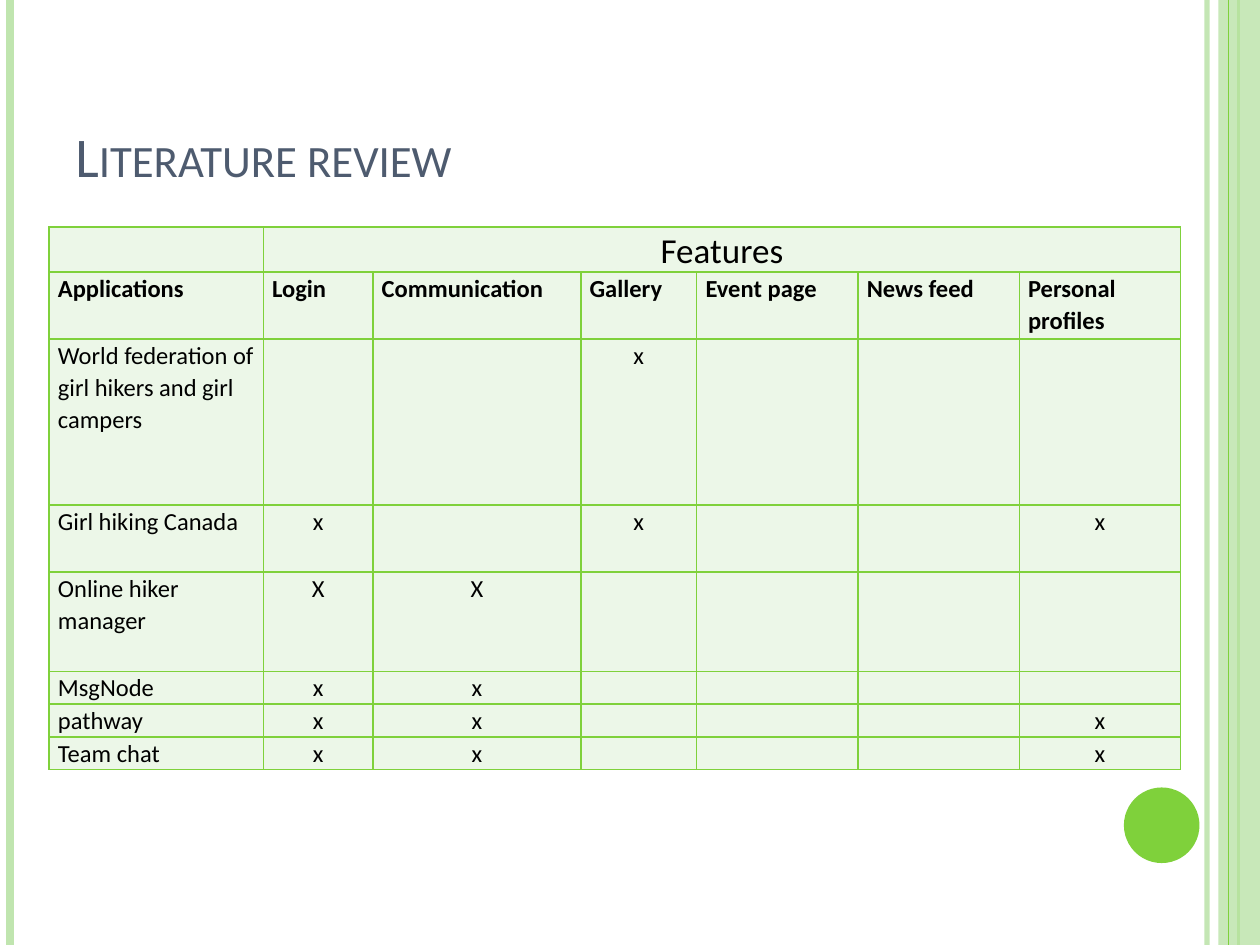
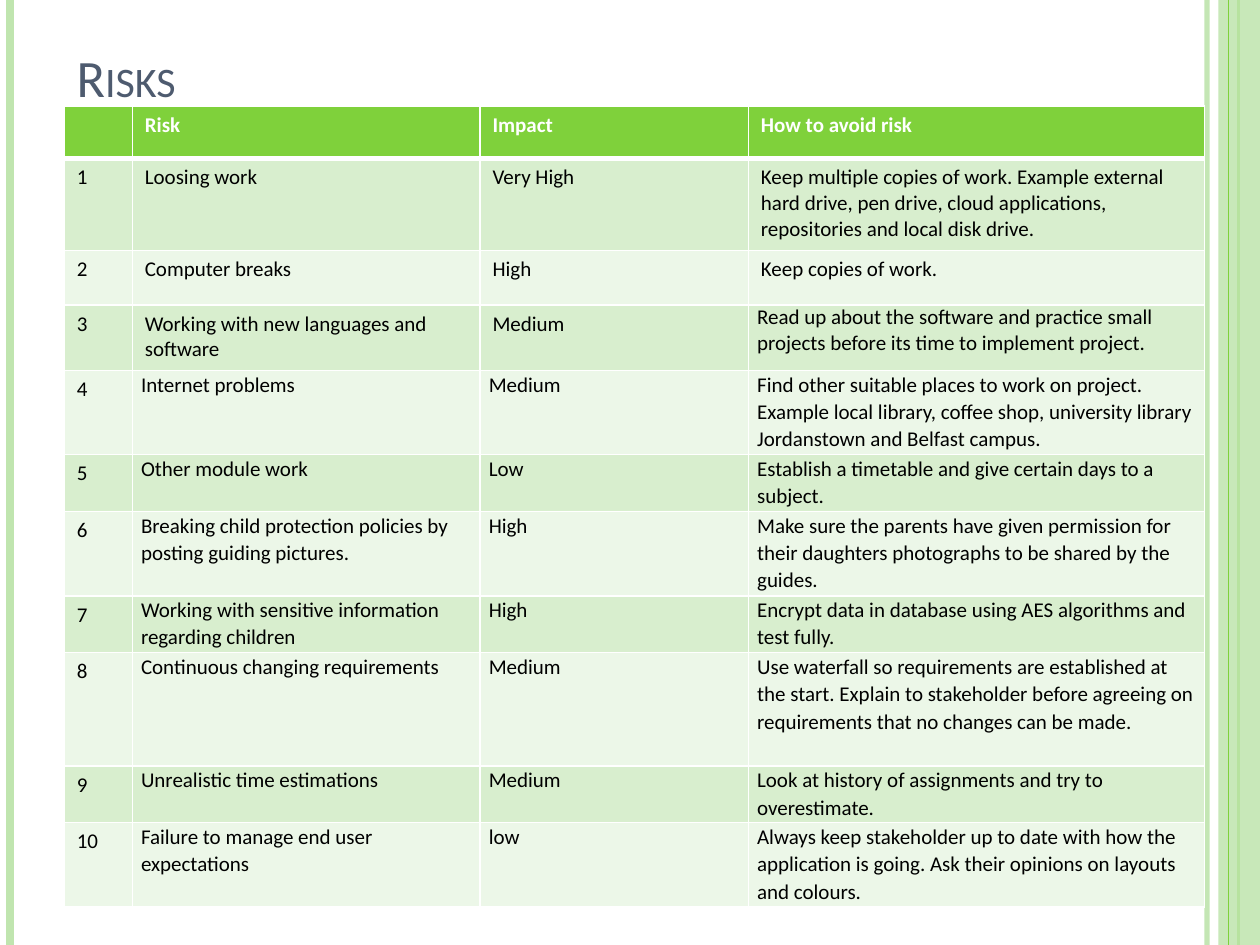
from lxml.etree import SubElement
from pptx import Presentation
from pptx.dml.color import RGBColor
from pptx.enum.shapes import MSO_CONNECTOR, MSO_SHAPE
from pptx.enum.text import MSO_ANCHOR, PP_ALIGN
from pptx.oxml.ns import qn
from pptx.util import Inches, Pt

FONT = "Calibri"
GREEN, LIGHT_GREEN = "7FD13B", "C0E5AF"
BAND_DARK, BAND_LIGHT = "D8EECE", "ECF7E8"
SLATE, BLACK, WHITE = "4E5B6F", "000000", "FFFFFF"
SLIDE_W, SLIDE_H = 10, 7.5
ROOMY, TIGHT = (0.1, 0.05), (0.07, 0)
LINE_SPACING = 1.07

FEATURES = ["Login", "Communication", "Gallery", "Event page", "News feed",
            "Personal profiles"]
APPLICATIONS = [
    ("World federation of girl hikers and girl campers", ["", "", "x", "", "", ""]),
    ("Girl hiking Canada", ["x", "", "x", "", "", "x"]),
    ("Online hiker manager", ["X", "X", "", "", "", ""]),
    ("MsgNode", ["x", "x", "", "", "", ""]),
    ("pathway", ["x", "x", "", "", "", "x"]),
    ("Team chat", ["x", "x", "", "", "", "x"]),
]
FEATURE_COLS = [1.7, 0.87, 1.65, 0.92, 1.28, 1.28, 1.28]
FEATURE_ROWS = [0.36, 0.53, 1.32, 0.53, 0.79, 0.26, 0.26, 0.26]

RISKS = [
    ("Loosing work", "Very High",
     "Keep multiple copies of work. Example external hard drive, pen drive, "
     "cloud applications, repositories and local disk drive."),
    ("Computer breaks", "High", "Keep copies of work."),
    ("Working with new languages and software", "Medium",
     "Read up about the software and practice small projects before its time "
     "to implement project."),
    ("Internet problems", "Medium",
     "Find other suitable places to work on project. Example local library, "
     "coffee shop, university library Jordanstown and Belfast campus."),
    ("Other module work", "Low",
     "Establish a timetable and give certain days to a subject."),
    ("Breaking child protection policies by posting guiding pictures.", "High",
     "Make sure the parents have given permission for their daughters "
     "photographs to be shared by the guides."),
    ("Working with sensitive information regarding children", "High",
     "Encrypt data in database using AES algorithms and test fully."),
    ("Continuous changing requirements", "Medium",
     "Use waterfall so requirements are established at the start. Explain to "
     "stakeholder before agreeing on requirements that no changes can be made."),
    ("Unrealistic time estimations", "Medium",
     "Look at history of assignments and try to overestimate."),
    ("Failure to manage end user expectations", "low",
     "Always keep stakeholder up to date with how the application is going. "
     "Ask their opinions on layouts and colours."),
]
RISK_COLS = [0.54, 2.76, 2.13, 3.62]
RISK_ROWS = [0.42, 0.73, 0.43, 0.52, 0.67, 0.45, 0.67, 0.45, 0.9, 0.45, 0.67]


def rgb(color):
    return RGBColor.from_string(color)


def set_opacity(sp, percent):
    for color in sp._element.iter(qn("a:srgbClr")):
        SubElement(color, qn("a:alpha"), val=str(percent * 1000))


def add_stripe(slide, x, color, width, opacity=100):
    """Draw a vertical line over the full slide height."""
    line = slide.shapes.add_connector(
        MSO_CONNECTOR.STRAIGHT, Inches(x), 0, Inches(x), Inches(SLIDE_H))
    line.line.color.rgb = rgb(color)
    line.line.width = Pt(width)
    SubElement(line._element.spPr, qn("a:effectLst"))
    if opacity < 100:
        set_opacity(line, opacity)


def add_block(slide, kind, x, y, w, h, color):
    sp = slide.shapes.add_shape(kind, Inches(x), Inches(y), Inches(w), Inches(h))
    sp.shadow.inherit = False
    sp.fill.solid()
    sp.fill.fore_color.rgb = rgb(color)
    sp.line.fill.background()
    return sp


def add_frame(slide):
    """Draw the side stripes and the band that every slide has."""
    add_stripe(slide, 9.58, LIGHT_GREEN, 3, opacity=93)
    add_stripe(slide, 0.08, LIGHT_GREEN, 4.5)
    add_stripe(slide, 9.83, GREEN, 1.5)
    band = add_block(slide, MSO_SHAPE.RECTANGLE, 9.67, 0, 0.33, SLIDE_H, LIGHT_GREEN)
    set_opacity(band, 87)
    add_stripe(slide, 9.75, GREEN, 0.75)


def style_font(font, size, color, bold=False):
    font.name = FONT
    font.size = Pt(size)
    font.bold = bold
    font.color.rgb = rgb(color)


def add_title(slide, text, x, y, size):
    box = slide.shapes.add_textbox(Inches(x), Inches(y), Inches(8.17), Inches(1.25))
    tf = box.text_frame
    tf.word_wrap = True
    tf.vertical_anchor = MSO_ANCHOR.BOTTOM
    r = tf.paragraphs[0].add_run()
    r.text = text
    style_font(r.font, size, SLATE)
    r._r.get_or_add_rPr().set("cap", "small")


def add_grid(slide, x, y, cols, rows):
    """Add a table with the given column widths and row heights."""
    table = slide.shapes.add_table(
        len(rows), len(cols), Inches(x), Inches(y),
        Inches(sum(cols)), Inches(sum(rows))).table
    table.first_row = table.horz_banding = False
    for column, width in zip(table.columns, cols):
        column.width = Inches(width)
    for row, height in zip(table.rows, rows):
        row.height = Inches(height)
    return table


def style_cell(cell, fill, border, bottom=1, top=1):
    tc_pr = cell._tc.get_or_add_tcPr()
    for side, width in (("lnL", 1), ("lnR", 1), ("lnT", top), ("lnB", bottom)):
        ln = SubElement(tc_pr, qn(f"a:{side}"), w=str(Pt(width)))
        SubElement(SubElement(ln, qn("a:solidFill")), qn("a:srgbClr"), val=border)
    cell.fill.solid()
    cell.fill.fore_color.rgb = rgb(fill)


def write_cell(cell, text, size, color=BLACK, bold=False, inset=TIGHT,
               spacing=None, align=PP_ALIGN.LEFT):
    cell.margin_left = cell.margin_right = Inches(inset[0])
    cell.margin_top = cell.margin_bottom = Inches(inset[1])
    p = cell.text_frame.paragraphs[0]
    p.alignment = align
    if spacing:
        p.line_spacing = spacing
    if text:
        p.text = text
        style_font(p.font, size, color, bold)
    else:
        SubElement(p._p, qn("a:endParaRPr"), sz=str(size * 100))


def add_feature_table(slide):
    table = add_grid(slide, 0.39, 1.8, FEATURE_COLS, FEATURE_ROWS)
    contents = [["", "Features"] + [""] * 5, ["Applications"] + FEATURES]
    contents += [[name] + marks for name, marks in APPLICATIONS]
    for i, row in enumerate(contents):
        for j, text in enumerate(row):
            cell = table.cell(i, j)
            style_cell(cell, BAND_LIGHT, GREEN)
            centred = i != 1 and j > 0
            write_cell(cell, text, 20 if text == "Features" else 14, bold=i == 1,
                       spacing=LINE_SPACING,
                       align=PP_ALIGN.CENTER if centred else PP_ALIGN.LEFT)
    table.cell(0, 1).merge(table.cell(0, len(FEATURES)))


def add_risk_table(slide):
    table = add_grid(slide, 0.51, 0.84, RISK_COLS, RISK_ROWS)
    contents = [("", "Risk", "Impact", "How to avoid risk")]
    contents += [(str(n), *risk) for n, risk in enumerate(RISKS, 1)]
    for i, row in enumerate(contents):
        header = i == 0
        fill = GREEN if header else BAND_DARK if i % 2 else BAND_LIGHT
        for j, text in enumerate(row):
            cell = table.cell(i, j)
            style_cell(cell, fill, WHITE, bottom=3 if header else 1,
                       top=3 if i == 1 else 1)
            spaced = i > 3 and j > 0
            tight = spaced or (i, j) == (3, 3)
            write_cell(cell, text, 12, WHITE if header else BLACK, header,
                       inset=TIGHT if tight else ROOMY,
                       spacing=LINE_SPACING if spaced else None)


def main():
    prs = Presentation()
    prs.slide_width, prs.slide_height = Inches(SLIDE_W), Inches(SLIDE_H)
    review, risks = (prs.slides.add_slide(prs.slide_layouts[6]) for _ in range(2))

    add_frame(review)
    add_block(review, MSO_SHAPE.OVAL, 8.92, 6.25, 0.6, 0.6, GREEN)
    add_title(review, "Literature review", 0.5, 0.3, 32)
    add_feature_table(review)

    add_frame(risks)
    add_title(risks, "Risks", 0.51, -0.34, 30)
    add_risk_table(risks)

    prs.save("out.pptx")


if __name__ == "__main__":
    main()
